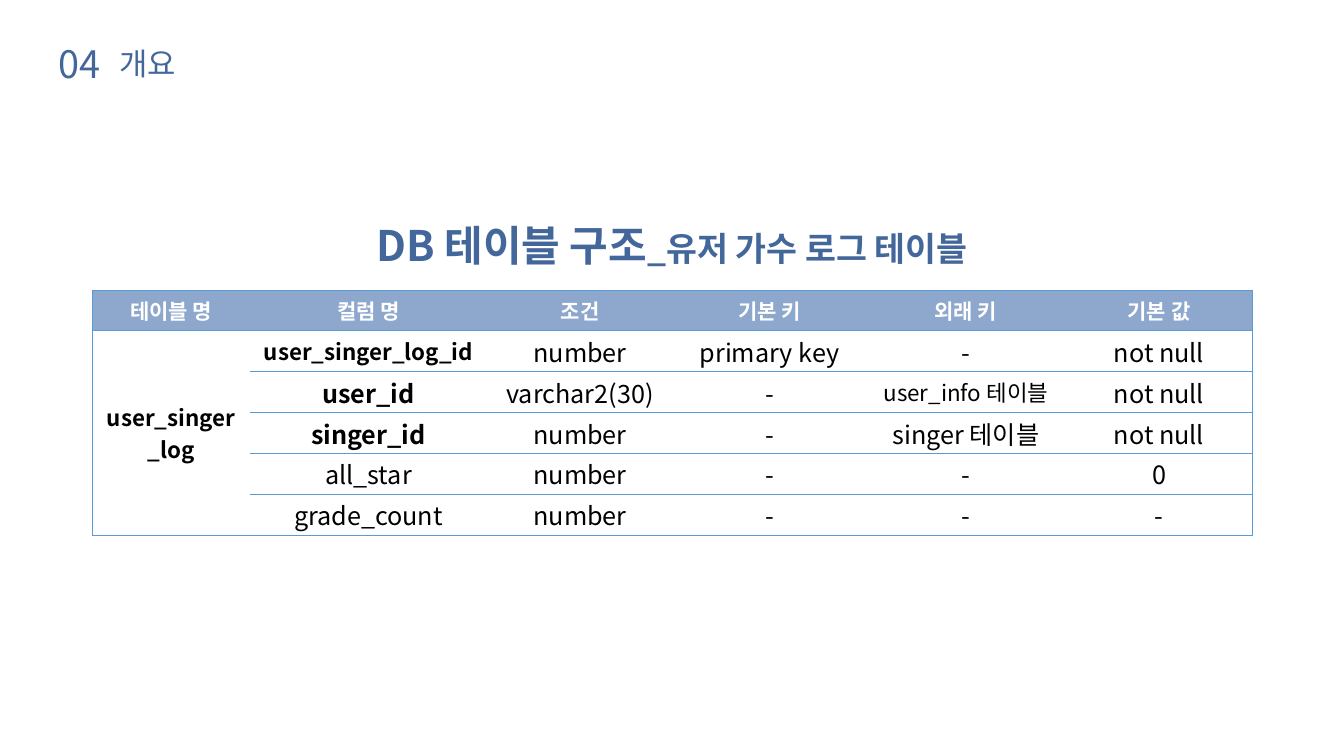
"""Builds the slide describing the user singer log database table."""
from lxml import etree
from pptx import Presentation
from pptx.dml.color import RGBColor
from pptx.enum.text import MSO_ANCHOR, PP_ALIGN
from pptx.oxml.ns import qn
from pptx.util import Pt

PX = 9525
FONT = "Noto Sans CJK KR"
TITLE_BLUE, HEADER_BLUE, BORDER_BLUE = "43679B", "8DA7CD", "5B9BD5"
CENTER, LEFT = PP_ALIGN.CENTER, PP_ALIGN.LEFT
MIDDLE = MSO_ANCHOR.MIDDLE
NO_STYLE = "{2D5ABB26-0587-4C30-8999-92F81FD0307C}"


def rgb(value):
    return RGBColor.from_string(value)


def style(paragraph, size, color, bold, align):
    paragraph.alignment = align
    font = paragraph.font
    font.name, font.size, font.bold = FONT, Pt(size), bold
    font.color.rgb = rgb(color)
    etree.SubElement(font._element, qn("a:ea"), typeface=FONT)


prs = Presentation()
prs.slide_width, prs.slide_height = 1280 * PX, 720 * PX
slide = prs.slides.add_slide(prs.slide_layouts[6])

headings = [
    ((321, 209, 638, 59), [("DB 테이블 구조", 30), ("_유저 가수 로그 테이블", 24)], True, CENTER, True),
    ((46, 39, 66, 54), [("04", 27)], False, LEFT, False),
    ((104, 43, 75, 45), [("개요", 22)], False, LEFT, True),
]
for place, parts, bold, align, wrap in headings:
    frame = slide.shapes.add_textbox(*(n * PX for n in place)).text_frame
    frame.word_wrap = wrap
    frame.margin_top = frame.margin_bottom = 0
    line = frame.paragraphs[0]
    style(line, parts[0][1], TITLE_BLUE, bold, align)
    for wording, size in parts:
        run = line.add_run()
        run.text = wording
        if size != parts[0][1]:
            run.font.size = Pt(size)

columns = [150, 226, 177, 184, 190, 178]
ROW_HEIGHT = 39
rows = [
    ["테이블 명", "컬럼 명", "조건", "기본 키", "외래 키", "기본 값"],
    ["user_singer\n_log", "user_singer_log_id", "number", "primary key", "-", "not null"],
    ["", "user_id", "varchar2(30)", "-", "user_info 테이블", "not null"],
    ["", "singer_id", "number", "-", "singer 테이블", "not null"],
    ["", "all_star", "number", "-", "-", "0"],
    ["", "grade_count", "number", "-", "-", "-"],
]
key_names = {"user_singer\n_log", "user_singer_log_id", "user_id", "singer_id"}
small_texts = {"user_singer\n_log", "user_singer_log_id", "user_info 테이블"}
last_row, last_column = len(rows) - 1, len(columns) - 1

schema = slide.shapes.add_table(
    len(rows), len(columns), 88 * PX, 276 * PX, sum(columns) * PX, len(rows) * ROW_HEIGHT * PX
).table
schema.first_row = schema.horz_banding = False
schema._tbl.tblPr.find(qn("a:tableStyleId")).text = NO_STYLE
for column, width in zip(schema.columns, columns):
    column.width = width * PX
for row in schema.rows:
    row.height = ROW_HEIGHT * PX
schema.cell(1, 0).merge(schema.cell(last_row, 0))

for r, texts in enumerate(rows):
    for c, wording in enumerate(texts):
        cell = schema.cell(r, c)
        cell.margin_top = cell.margin_bottom = 0
        cell.vertical_anchor = MIDDLE
        edges = {
            "a:lnL": c == 0,
            "a:lnR": c == last_column,
            "a:lnT": r <= 1 or c > 0,
            "a:lnB": c > 0 or r in (0, 1, last_row),
        }
        for tag, drawn in edges.items():
            if drawn:
                border = etree.SubElement(cell._tc.get_or_add_tcPr(), qn(tag), w=str(Pt(0.5)))
                paint = etree.SubElement(border, qn("a:solidFill"))
                etree.SubElement(paint, qn("a:srgbClr"), val=BORDER_BLUE)
        if r == 0:
            cell.fill.solid()
            cell.fill.fore_color.rgb = rgb(HEADER_BLUE)
            size, color = 15, "FFFFFF"
        else:
            cell.fill.background()
            size, color = 16 if wording in small_texts else 18, "000000"
        cell.text_frame.text = wording
        for paragraph in cell.text_frame.paragraphs:
            style(paragraph, size, color, r == 0 or wording in key_names, CENTER)

prs.save("out.pptx")
